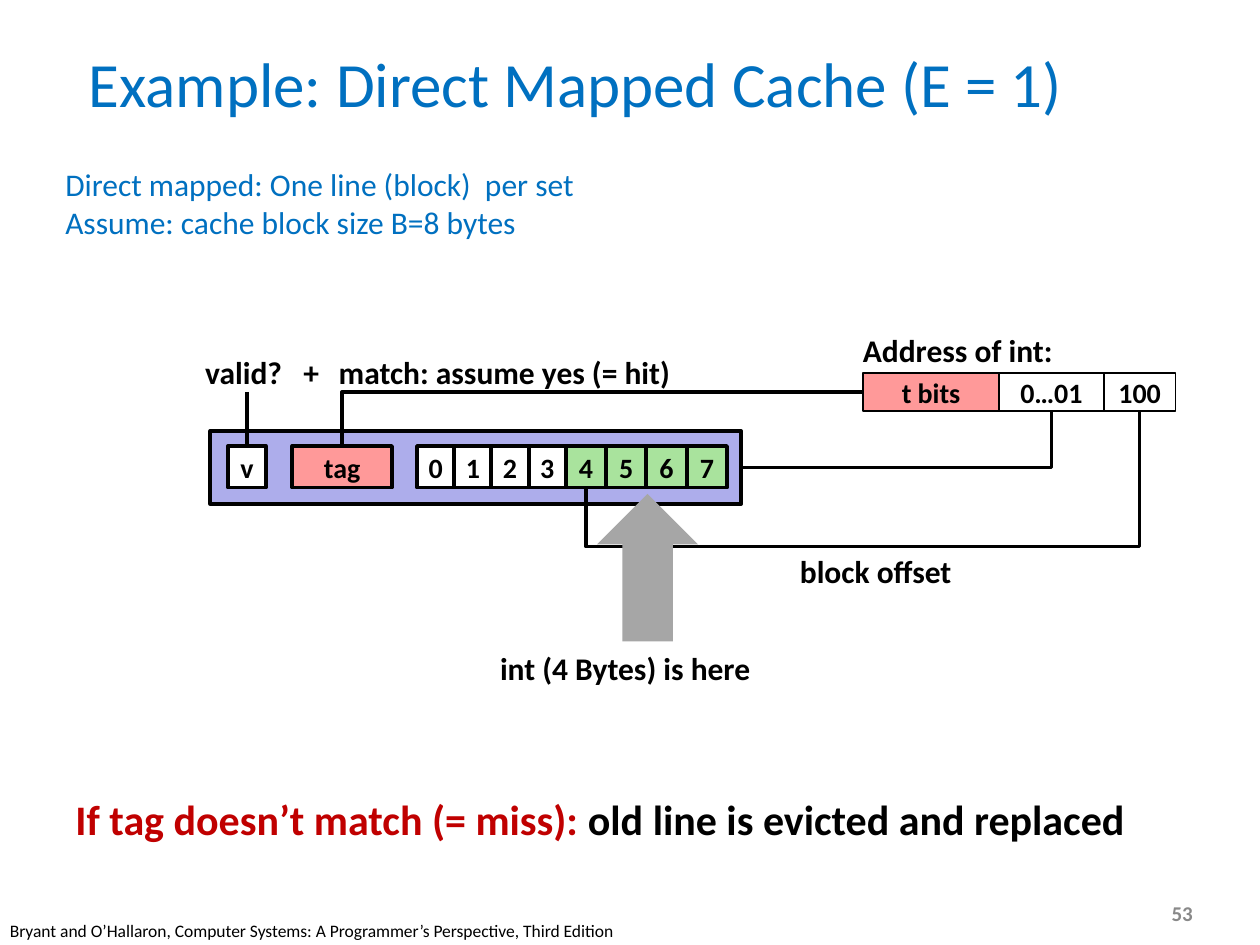
from pptx import Presentation
from pptx.dml.color import RGBColor
from pptx.enum.shapes import MSO_CONNECTOR, MSO_SHAPE
from pptx.enum.text import MSO_ANCHOR, PP_ALIGN
from pptx.oxml.ns import qn
from pptx.util import Inches, Pt
from lxml.etree import SubElement

COLORS = {
    "black": "000000", "white": "FFFFFF", "blue": "0070C0", "red": "C00000",
    "tag": "FF9999", "line": "ADADEB", "word": "A9E39D", "arrow": "A6A6A6",
    "number": "898989",
}

# Each label: left, top, width, height, paragraphs of (text, color) runs, format
LABELS = [
    (9.2, 7.1, 0.4, 0.3, [[("53", "number")]],
     dict(size=12, bold=True, anchor=MSO_ANCHOR.MIDDLE)),
    (0.42, 0.24, 8.3, 0.83, [[("Example: Direct Mapped Cache (E = 1)", "blue")]],
     dict(size=36, align=PP_ALIGN.CENTER, anchor=MSO_ANCHOR.MIDDLE, wrap=True)),
    (0.42, 1.26, 4.36, 0.71,
     [[("Direct mapped: One line (block)  per set", "blue")],
      [("Assume: cache block size B=8 bytes", "blue")]], dict(size=18)),
    (0.5, 6.25, 8.61, 0.5,
     [[("If tag doesn’t match (= miss): ", "red"),
       ("old line is evicted and replaced", "black")]], dict(size=24, bold=True)),
    (-0.02, 7.25, 5.08, 0.27,
     [[("Bryant and O’Hallaron, Computer Systems: A Programmer’s Perspective, "
        "Third Edition", "black")]], dict(size=10)),
]
CAPTIONS = [
    ("Address of int:", 6.75, 2.58, 1.72),
    ("match: assume yes (= hit)", 2.59, 2.75, 2.86),
    ("valid?   +", 1.53, 2.75, 1.12),
    ("int (4 Bytes) is here", 3.87, 5.1, 2.21),
    ("block offset", 6.25, 4.33, 1.42),
]
ADDRESS = [("t bits", 1.08, "tag"), ("0…01", 0.83, "white"), ("100", 0.57, "white")]
BLOCK_BYTES, WORD_START = 8, 4
BYTES = [(str(i), 0.32, "word") if i >= WORD_START else (str(i), 0.295, "white")
         for i in range(BLOCK_BYTES)]

ADDRESS_LEFT, ADDRESS_TOP, ADDRESS_HEIGHT = 6.85, 2.96, 0.3
LINE_LEFT, LINE_TOP, LINE_WIDTH, LINE_HEIGHT = 1.67, 3.42, 4.21, 0.58
CELL_TOP, CELL_HEIGHT = 3.54, 0.33


def rgb(name):
    return RGBColor.from_string(COLORS[name])


def write_text(shape, paragraphs, size=18, bold=False, align=PP_ALIGN.LEFT,
               anchor=MSO_ANCHOR.TOP, wrap=False):
    frame = shape.text_frame
    frame.word_wrap = wrap
    frame.vertical_anchor = anchor
    for index, runs in enumerate(paragraphs):
        paragraph = frame.add_paragraph() if index else frame.paragraphs[0]
        paragraph.alignment = align
        for text, color in runs:
            run = paragraph.add_run()
            run.text = text
            run.font.name = "Calibri"
            run.font.size = Pt(size)
            run.font.bold = bold
            run.font.color.rgb = rgb(color)


def add_label(slide, left, top, width, height, paragraphs, **text_format):
    box = slide.shapes.add_textbox(*map(Inches, (left, top, width, height)))
    write_text(box, paragraphs, **text_format)


def add_block(slide, left, top, width, height, fill, text="", line=2.25,
              preset=MSO_SHAPE.RECTANGLE):
    shape = slide.shapes.add_shape(preset, *map(Inches, (left, top, width, height)))
    shape.shadow.inherit = False
    shape.fill.solid()
    shape.fill.fore_color.rgb = rgb(fill)
    if line:
        shape.line.color.rgb = rgb("black")
        shape.line.width = Pt(line)
    else:
        shape.line.fill.background()
    if text:
        frame = shape.text_frame
        frame.margin_left = frame.margin_right = 0
        frame.margin_top = frame.margin_bottom = 0
        write_text(shape, [[(text, "black")]], size=16, bold=True,
                   align=PP_ALIGN.CENTER, anchor=MSO_ANCHOR.MIDDLE)


def add_row(slide, cells, left, top, height, line):
    """Draw adjoining cells; return the horizontal centre of each."""
    centers = []
    for text, width, fill in cells:
        add_block(slide, left, top, width, height, fill, text, line)
        centers.append(left + width / 2)
        left += width
    return centers


def add_wire(slide, start, end, kind=MSO_CONNECTOR.STRAIGHT):
    wire = slide.shapes.add_connector(kind, *map(Inches, start + end))
    wire.line.color.rgb = rgb("black")
    wire.line.width = Pt(2)
    SubElement(wire.element.spPr, qn("a:effectLst"))
    return wire


def add_corner(slide, start, end):
    """Wire that leaves start horizontally and reaches end vertically."""
    wire = add_wire(slide, start, end, MSO_CONNECTOR.ELBOW)
    wire.element.spPr.find(qn("a:prstGeom")).set("prst", "bentConnector2")


def add_trough(slide, start, end, bottom):
    """Wire that drops from start to bottom, runs left and rises to end."""
    (right, top), (left, low) = start, end
    span, drop = right - left, low - top
    x, y = (left + right - drop) / 2, (top + low - span) / 2
    wire = add_wire(slide, (x, y), (x + drop, y + span), MSO_CONNECTOR.ELBOW)
    properties = wire.element.spPr
    properties.find(qn("a:xfrm")).set("rot", str(90 * 60000))
    guides = properties.find(qn("a:prstGeom")).find(qn("a:avLst"))
    ratio = round((bottom - top) / drop * 100000)
    SubElement(guides, qn("a:gd"), name="adj1", fmla=f"val {ratio}")


def main():
    presentation = Presentation()
    presentation.slide_width, presentation.slide_height = Inches(10), Inches(7.5)
    slide = presentation.slides.add_slide(presentation.slide_layouts[6])

    for left, top, width, height, paragraphs, text_format in LABELS:
        add_label(slide, left, top, width, height, paragraphs, **text_format)

    _, set_index, offset = add_row(
        slide, ADDRESS, ADDRESS_LEFT, ADDRESS_TOP, ADDRESS_HEIGHT, 1)
    add_block(slide, LINE_LEFT, LINE_TOP, LINE_WIDTH, LINE_HEIGHT, "line")
    valid, = add_row(slide, [("v", 0.3, "white")], 1.81, CELL_TOP, CELL_HEIGHT, 2.25)
    tag, = add_row(slide, [("tag", 0.79, "tag")], 2.32, CELL_TOP, CELL_HEIGHT, 2.25)
    byte_centers = add_row(slide, BYTES, 3.31, CELL_TOP, CELL_HEIGHT, 2.25)

    address_bottom = ADDRESS_TOP + ADDRESS_HEIGHT
    address_middle = ADDRESS_TOP + ADDRESS_HEIGHT / 2
    line_side = (LINE_LEFT + LINE_WIDTH, LINE_TOP + LINE_HEIGHT / 2)
    add_corner(slide, line_side, (set_index, address_bottom))
    add_corner(slide, (ADDRESS_LEFT, address_middle), (tag, CELL_TOP))
    add_wire(slide, (valid, address_middle), (valid, CELL_TOP))
    add_trough(slide, (offset, address_bottom),
               (byte_centers[WORD_START], CELL_TOP + CELL_HEIGHT), 4.34)
    add_block(slide, 4.74, 3.92, 0.8, 1.17, "arrow", line=0, preset=MSO_SHAPE.UP_ARROW)

    for text, left, top, width in CAPTIONS:
        add_label(slide, left, top, width, 0.4, [[(text, "black")]], bold=True)

    presentation.save("out.pptx")


if __name__ == "__main__":
    main()
